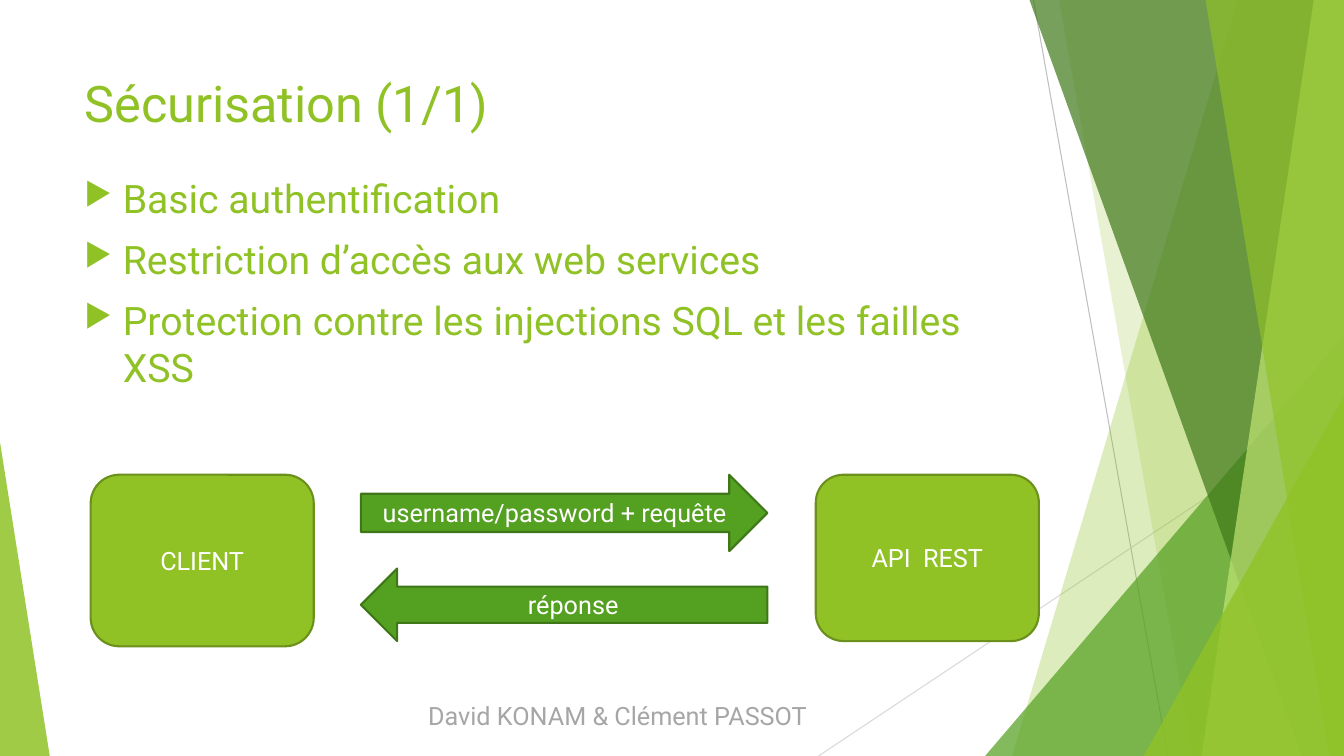
import dataclasses
import typing

import lxml.etree
import pptx
import pptx.dml.color
import pptx.enum.shapes
import pptx.enum.text
import pptx.oxml.ns
import pptx.util

SHAPE = pptx.enum.shapes.MSO_SHAPE
ALIGN = pptx.enum.text.PP_ALIGN
ANCHOR = pptx.enum.text.MSO_ANCHOR
FONT = "Roboto"
LIME, GREEN, WHITE = "90C226", "54A021", "FFFFFF"

prs = pptx.Presentation()
prs.slide_width = pptx.util.Inches(13.33)
prs.slide_height = pptx.util.Inches(7.5)
slide = prs.slides.add_slide(prs.slide_layouts[6])


# Places are percentages of the slide's width and height
@dataclasses.dataclass
class Area:
    x: float
    y: float
    w: float
    h: float


@dataclasses.dataclass
class Facet:
    """Band reaching the right edge, with a slanted left side."""
    top: float
    bottom: float
    color: str
    alpha: int


@dataclasses.dataclass
class Corner:
    """Triangle standing on the bottom edge."""
    area: Area
    apex: float
    color: str
    alpha: int


@dataclasses.dataclass
class Node:
    kind: typing.Any
    area: Area
    fill: str
    line: str
    text: str


def px(share: float) -> int:
    return round(prs.slide_width * share / 100)


def py(share: float) -> int:
    return round(prs.slide_height * share / 100)


def box(area: Area) -> tuple:
    return px(area.x), py(area.y), px(area.w), py(area.h)


def rgb(color: str) -> pptx.dml.color.RGBColor:
    return pptx.dml.color.RGBColor.from_string(color)


def add_xml(parent, tag: str, **attrs: str):
    return lxml.etree.SubElement(parent, pptx.oxml.ns.qn(tag), attrs)


def paint(sp, color: str, alpha: int = 100, line: str = "") -> None:
    sp.shadow.inherit = False
    sp.fill.solid()
    sp.fill.fore_color.rgb = rgb(color)
    if alpha < 100:
        fill = sp._element.spPr.find(pptx.oxml.ns.qn("a:solidFill"))
        add_xml(fill[0], "a:alpha", val=str(alpha * 1000))
    if line:
        sp.line.color.rgb = rgb(line)
        sp.line.width = pptx.util.Pt(1.5)
    else:
        sp.line.fill.background()


def write(sp, *lines: str, size: int = 18, color: str = WHITE, align=ALIGN.CENTER,
          anchor=ANCHOR.TOP, before: int = 0, bullet: str = "") -> None:
    tf = sp.text_frame
    tf.word_wrap = True
    tf.vertical_anchor = anchor
    for i, line in enumerate(lines):
        p = tf.add_paragraph() if i else tf.paragraphs[0]
        p.alignment = align
        p.space_before = pptx.util.Pt(before)
        r = p.add_run()
        r.text = line
        r.font.name = FONT
        r.font.size = pptx.util.Pt(size)
        r.font.color.rgb = rgb(color)
        if bullet:
            pPr = p._p.get_or_add_pPr()
            indent = pptx.util.Inches(0.38)
            pPr.set("marL", str(indent))
            pPr.set("indent", str(-indent))
            add_xml(add_xml(pPr, "a:buClr"), "a:srgbClr", val=color)
            add_xml(pPr, "a:buSzPct", val="80000")
            add_xml(pPr, "a:buChar", char=bullet)


def add_text(area: Area, *lines: str, **style) -> None:
    write(slide.shapes.add_textbox(*box(area)), *lines, **style)


def add_line(x1: float, y1: float, x2: float, y2: float, color: str) -> None:
    sp = slide.shapes.add_connector(pptx.enum.shapes.MSO_CONNECTOR.STRAIGHT,
                                    px(x1), py(y1), px(x2), py(y2))
    sp.line.color.rgb = rgb(color)
    sp.line.width = pptx.util.Pt(0.75)
    add_xml(sp._element.spPr, "a:effectLst")


def add_facet(facet: Facet) -> None:
    builder = slide.shapes.build_freeform(px(facet.top), 0)
    builder.add_line_segments([(px(100), 0), (px(100), py(100)), (px(facet.bottom), py(100))])
    paint(builder.convert_to_shape(), facet.color, facet.alpha)


def add_corner(corner: Corner) -> None:
    sp = slide.shapes.add_shape(SHAPE.ISOSCELES_TRIANGLE, *box(corner.area))
    sp.adjustments[0] = corner.apex
    paint(sp, corner.color, corner.alpha)


def add_node(node: Node) -> None:
    sp = slide.shapes.add_shape(node.kind, *box(node.area))
    paint(sp, node.fill, line=node.line)
    write(sp, node.text, anchor=ANCHOR.MIDDLE)


# Background decoration, from back to front
add_line(76.9, 0, 86.9, 100, "BFBFBF")
add_line(100, 53.7, 60.9, 100, "D9D9D9")
for part in (
    Facet(92.1, 75.3, LIME, 30),
    Facet(78.8, 88.75, LIME, 20),
    Corner(Area(73.3, 44.4, 26.7, 55.6), 1, GREEN, 72),
    Facet(76.6, 96.85, "3F7819", 70),
    Facet(97.75, 89.4, "C0E474", 70),
    Facet(89.7, 98.9, LIME, 65),
    Corner(Area(85.1, 52.4, 14.9, 47.6), 1, LIME, 80),
    Corner(Area(0, 58.5, 3.7, 41.5), 0, LIME, 85),
):
    if isinstance(part, Facet):
        add_facet(part)
    else:
        add_corner(part)

# Title and bullets
add_text(Area(5.55, 8.9, 70.5, 15.1), "Sécurisation (1/1)",
         size=36, color=LIME, align=ALIGN.LEFT)
add_text(Area(5.55, 22.4, 70.5, 56.5),
         "Basic authentification",
         "Restriction d’accès aux web services",
         "Protection contre les injections SQL et les failles XSS",
         size=28, color=LIME, align=ALIGN.LEFT, before=10, bullet="▶")

# Exchange between client and API
BOX = (LIME, "6B901C")
ARROW = (GREEN, "3E7618")
for node in (
    Node(SHAPE.ROUNDED_RECTANGLE, Area(6.75, 62.8, 16.6, 22.7), *BOX, "CLIENT"),
    Node(SHAPE.ROUNDED_RECTANGLE, Area(60.7, 62.8, 16.6, 22), *BOX, "API  REST"),
    Node(SHAPE.RIGHT_ARROW, Area(26.85, 62.8, 30.25, 10.1), *ARROW, "username/password + requête"),
    Node(SHAPE.LEFT_ARROW, Area(26.85, 75.2, 30.25, 9.6), *ARROW, "réponse"),
):
    add_node(node)

# Authors
add_text(Area(14.1, 92, 63.7, 8), "David KONAM & Clément PASSOT", color="A6A6A6", before=10)

prs.save("out.pptx")
